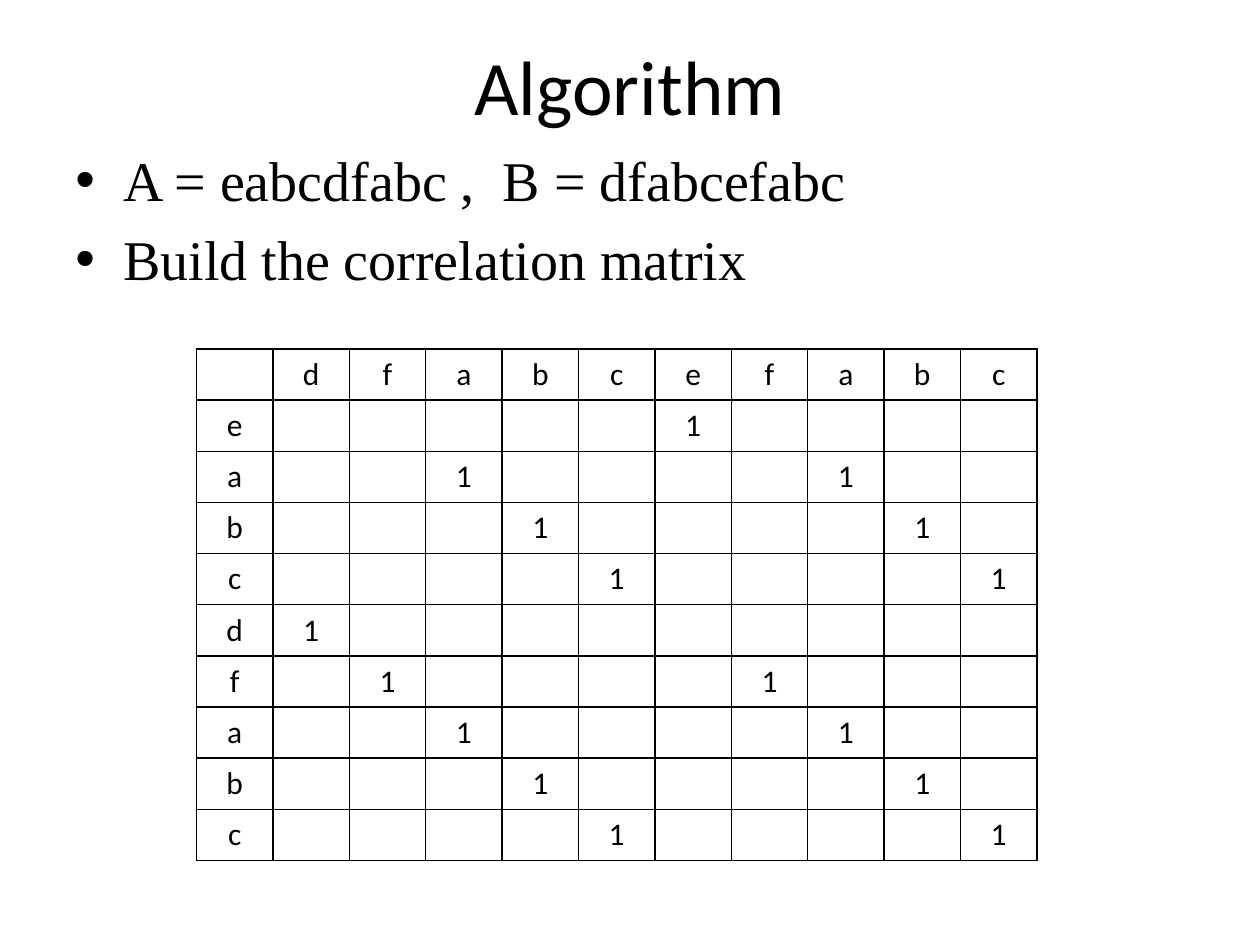
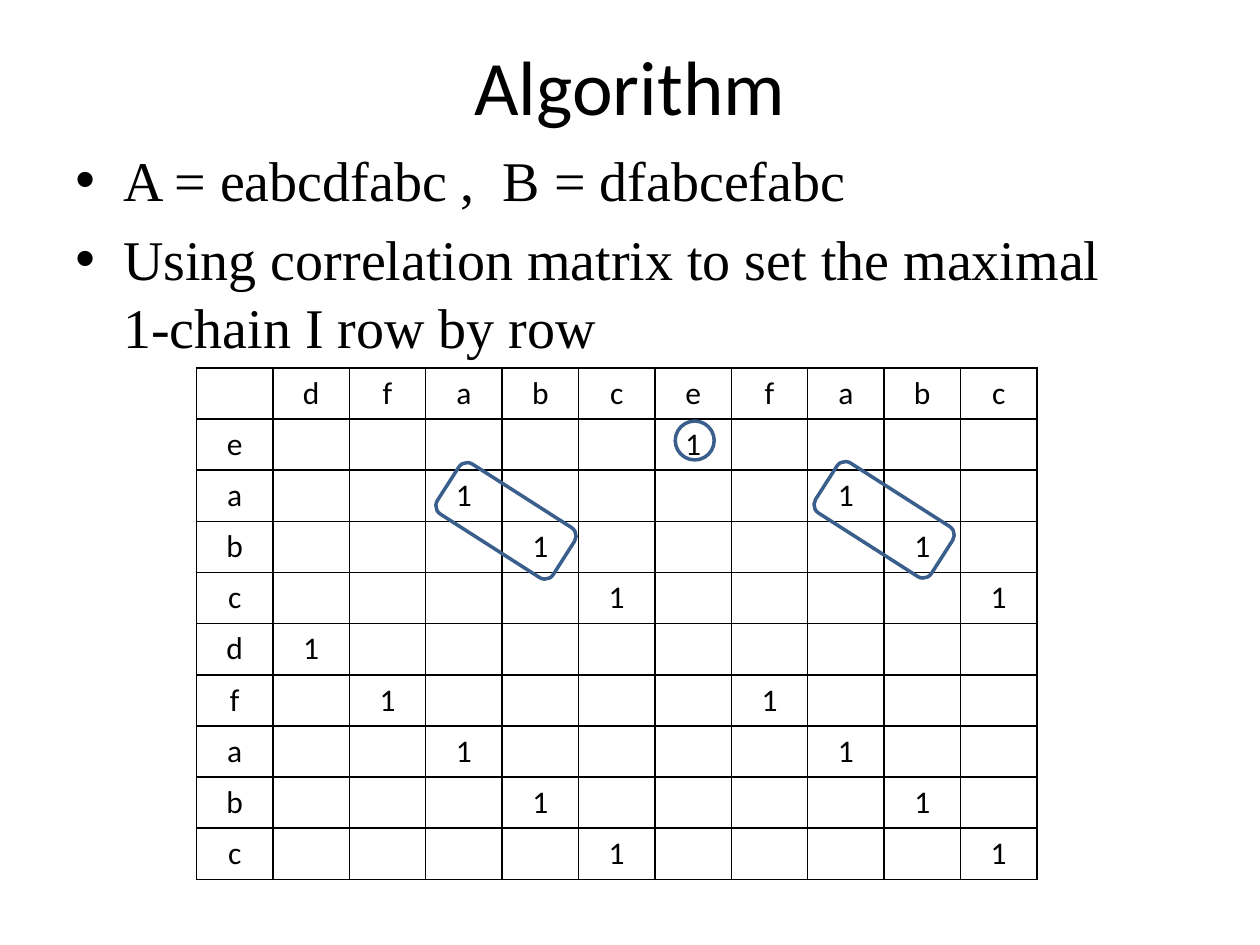
from dataclasses import dataclass

import pptx
import pptx.dml.color
import pptx.enum.shapes
import pptx.enum.text
import pptx.oxml
import pptx.oxml.ns
import pptx.util
from lxml import etree

RGBColor = pptx.dml.color.RGBColor
Inches, Pt = pptx.util.Inches, pptx.util.Pt
Shape = pptx.enum.shapes.MSO_SHAPE
Align, Anchor = pptx.enum.text.PP_ALIGN, pptx.enum.text.MSO_ANCHOR
qn = pptx.oxml.ns.qn

BLACK = RGBColor(0x00, 0x00, 0x00)
RING_BLUE = RGBColor(0x3A, 0x5F, 0x8C)
HEAD_FONT, BODY_FONT = "Calibri", "Times New Roman"

SLIDE_W, SLIDE_H = Inches(10), Inches(7.5)
MARGIN = SLIDE_W * 0.05
CONTENT_W = SLIDE_W * 0.9

A, B = "eabcdfabc", "dfabcefabc"
TABLE_LEFT = Inches(1.56)
COL_W = Inches(6.67) / (len(B) + 1)
ROW_H = Inches(4.06) / (len(A) + 1)


@dataclass
class Ring:
    """Outline around matrix cells, measured in table columns and rows."""
    shape: Shape
    col: float
    row: float
    cols: float
    rows: float
    angle: float = 0


@dataclass
class MatrixSlide:
    step: str
    table_top: float
    rings: tuple[Ring, ...] = ()


def chain_ring(col: float, row: float) -> Ring:
    return Ring(Shape.ROUNDED_RECTANGLE, col, row, 1.8, 1.16, 32.6)


SLIDES = (
    MatrixSlide("Build the correlation matrix", 2.77),
    MatrixSlide(
        "Using correlation matrix to set the maximal 1-chain I row by row",
        2.92,
        (
            Ring(Shape.OVAL, 6.52, 1.42, 0.51, 0.76),
            chain_ring(4.05, 2.99),
            chain_ring(9, 2.97),
        ),
    ),
)


def write(p, text: str, *, size: float, font: str = HEAD_FONT,
          color: RGBColor = BLACK, align: Align = Align.LEFT) -> None:
    p.alignment = align
    r = p.add_run()
    r.text = text
    r.font.size, r.font.name = Pt(size), font
    r.font.bold = False
    r.font.color.rgb = color


def place(sp, left: float, top: float, width: float, height: float) -> None:
    sp.left, sp.top = round(left), round(top)
    sp.width, sp.height = round(width), round(height)


def add_title(s, text: str) -> None:
    sp = s.shapes.title
    place(sp, MARGIN, Inches(0.05), CONTENT_W, SLIDE_H / 6)
    sp.text_frame.vertical_anchor = Anchor.MIDDLE
    write(sp.text_frame.paragraphs[0], text, size=44, align=Align.CENTER)


def add_bullets(s, items: list[str]) -> None:
    sp = s.shapes.add_textbox(0, 0, 0, 0)
    place(sp, MARGIN, Inches(1.1), CONTENT_W, Inches(5.88))
    tf = sp.text_frame
    tf.word_wrap = True
    tf.margin_right = Inches(0.4)
    for i, item in enumerate(items):
        p = tf.add_paragraph() if i else tf.paragraphs[0]
        pPr = p._p.get_or_add_pPr()
        pPr.set("marL", str(Inches(0.38)))
        pPr.set("indent", str(-Inches(0.38)))
        etree.SubElement(pPr, qn("a:buFont")).set("typeface", "Arial")
        etree.SubElement(pPr, qn("a:buChar")).set("char", "•")
        p.line_spacing = Pt(39)
        if i:
            p.space_before = Pt(6)
        write(p, item, size=32, font=BODY_FONT)


def format_cell(cell) -> None:
    """Give a cell thin black borders and no fill."""
    tcPr = cell._tc.get_or_add_tcPr()
    for side in "LRTB":
        ln = etree.SubElement(tcPr, qn(f"a:ln{side}"))
        ln.set("w", str(Pt(1)))
        fill = etree.SubElement(ln, qn("a:solidFill"))
        etree.SubElement(fill, qn("a:srgbClr")).set("val", str(BLACK))
    cell.fill.background()


def add_matrix(s, top: float) -> None:
    """Mark with 1 each pair of equal letters of A (rows) and B (columns)."""
    values = [["", *B]]
    values += [[a, *("1" if a == b else "" for b in B)] for a in A]
    frame = s.shapes.add_table(
        len(values), len(values[0]), TABLE_LEFT, top,
        round(COL_W * len(values[0])), round(ROW_H * len(values)))
    table = frame.table
    table.first_row = table.horz_banding = False
    for column in table.columns:
        column.width = round(COL_W)
    for row, letters in zip(table.rows, values):
        row.height = round(ROW_H)
        for cell, letter in zip(row.cells, letters):
            format_cell(cell)
            if letter:
                write(cell.text_frame.paragraphs[0], letter, size=18,
                      align=Align.CENTER)


def add_ring(s, ring: Ring, table_top: float) -> None:
    sp = s.shapes.add_shape(ring.shape, 0, 0, 0, 0)
    place(sp, TABLE_LEFT + (ring.col - ring.cols / 2) * COL_W,
          table_top + (ring.row - ring.rows / 2) * ROW_H,
          ring.cols * COL_W, ring.rows * ROW_H)
    sp.rotation = ring.angle
    sp.shadow.inherit = False
    sp.fill.background()
    sp.line.color.rgb = RING_BLUE
    sp.line.width = Pt(2)


def add_matrix_slide(prs, spec_: MatrixSlide) -> None:
    s = prs.slides.add_slide(prs.slide_layouts.get_by_name("Title Only"))
    top = Inches(spec_.table_top)
    add_title(s, "Algorithm")
    add_bullets(s, [f"A = {A} ,  B = {B}", spec_.step])
    add_matrix(s, top)
    for ring in spec_.rings:
        add_ring(s, ring, top)


def main() -> None:
    prs = pptx.Presentation()
    prs.slide_width, prs.slide_height = SLIDE_W, SLIDE_H
    for matrix_slide in SLIDES:
        add_matrix_slide(prs, matrix_slide)
    prs.save("out.pptx")


if __name__ == "__main__":
    main()
